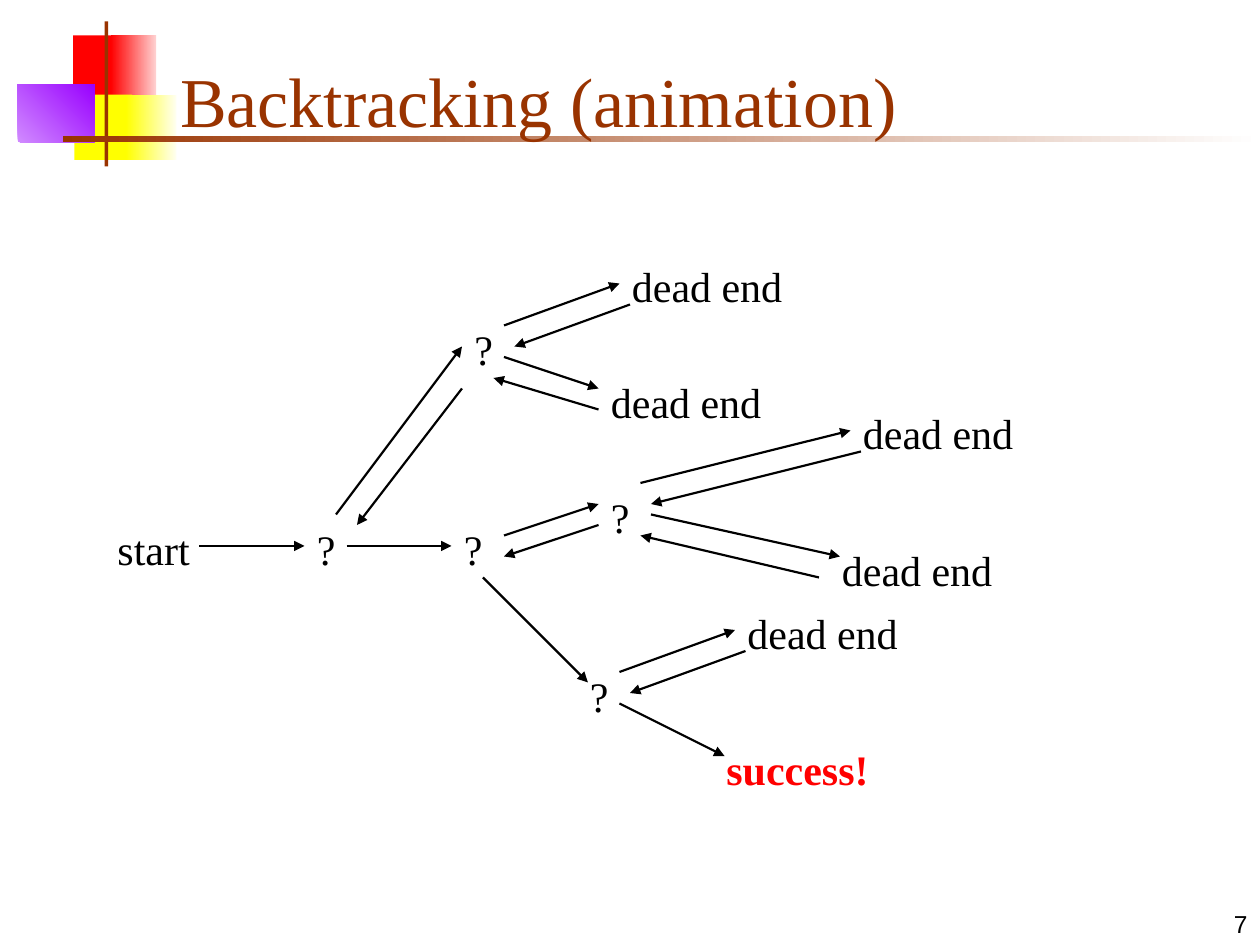
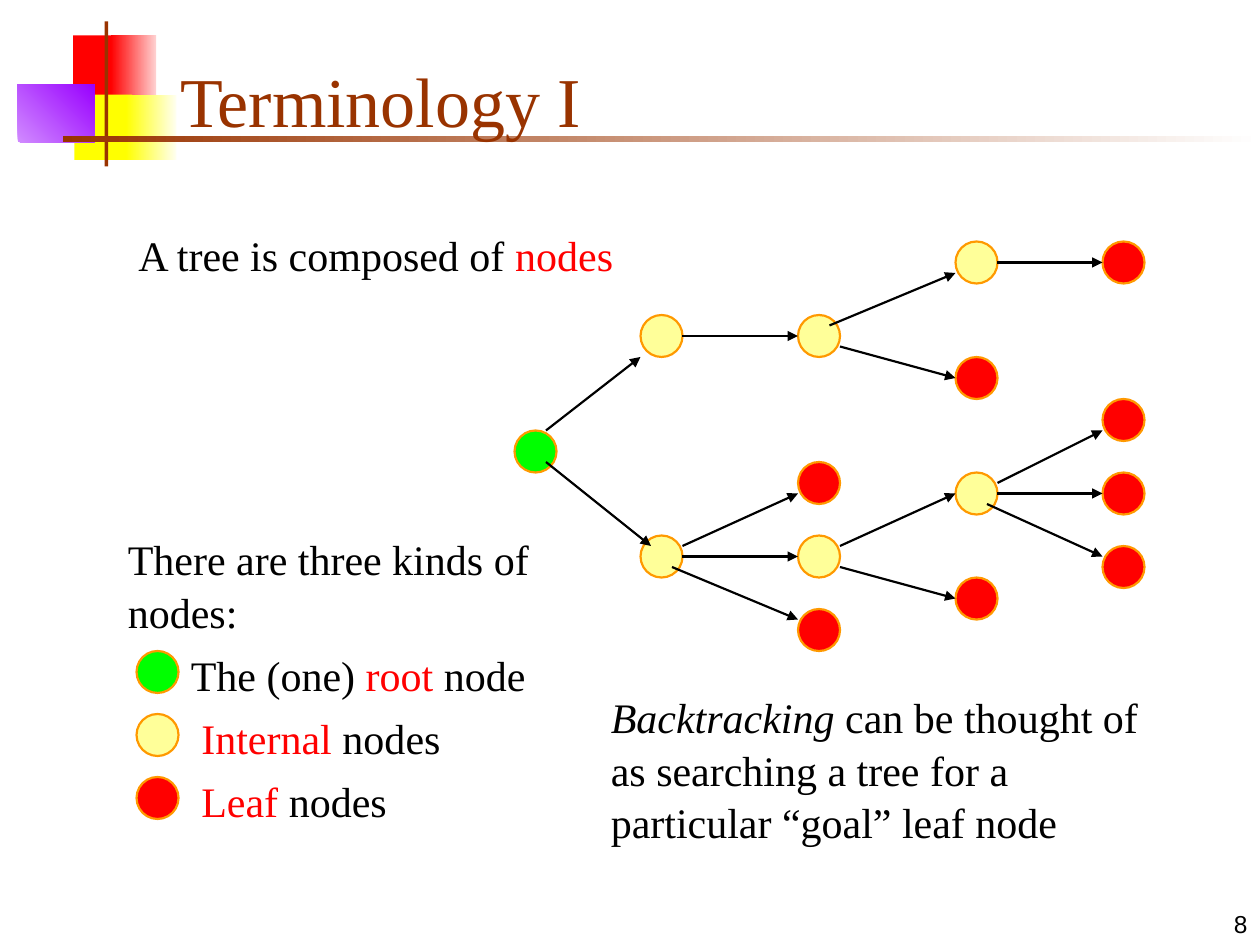
from pptx import Presentation
from pptx.dml.color import RGBColor
from pptx.enum.shapes import MSO_CONNECTOR as CONNECTOR, MSO_SHAPE as SHAPE
from pptx.enum.text import MSO_ANCHOR as ANCHOR, MSO_AUTO_SIZE as AUTO_SIZE, PP_ALIGN as ALIGN
from pptx.oxml.ns import qn
from pptx.util import Inches, Pt
from lxml.etree import SubElement

SERIF, SANS = "Times New Roman", "Arial"
BLACK, RED, BROWN, ORANGE = "000000", "FF0000", "993300", "FF9900"
NODE_COLOURS = {"root": "00FF00", "internal": "FFFF99", "leaf": RED}

# Title decoration in inches: left, top, width, height, colours, gradient angle
BANDS = [
    (0.58, 0.28, 0.35, 0.52, [RED], 0),
    (0.88, 0.28, 0.36, 0.52, [RED, "FFD1D1"], 0),
    (0.59, 0.75, 0.46, 0.52, ["FFFF00"], 0),
    (1.0, 0.75, 0.4, 0.52, ["FFFF00", "FFFFF0"], 0),
    (0.14, 0.67, 0.61, 0.46, ["D18BFF", "9900FF"], 45),
    (0.83, 0.17, 0.03, 1.15, [BROWN], 0),
    (0.5, 1.08, 9.5, 0.05, [BROWN, "FFFFFF"], 0),
]

# Both diagrams sit on a grid of twelfths of an inch.
GRID = 12
NODE_SIZE, LABEL_HEIGHT = 4, 6

# Search steps: text, left, top, width
SEARCH_LABELS = [
    ("start", 10, 49, 10),
    ("?", 29, 49, 6), ("?", 44, 30, 5), ("?", 43, 49, 6),
    ("?", 57, 46, 6), ("?", 55, 63, 6),
    ("dead end", 59, 24, 21), ("dead end", 57, 35, 21),
    ("dead end", 81, 38, 21), ("dead end", 79, 51, 21),
    ("dead end", 70, 57, 21),
]
SUCCESS = ("success!", 68, 70, 21)

# Arrows: from x, from y, to x, to y
FORWARD_STEPS = [
    (19, 52, 29, 52), (32, 49, 44, 33), (33, 52, 43, 52),
    (48, 31, 59, 27), (48, 34, 57, 37), (48, 51, 57, 48),
    (61, 46, 81, 41), (62, 49, 80, 53), (46, 55, 56, 65),
    (59, 64, 70, 60), (59, 67, 69, 72),
]
BACKWARD_STEPS = [
    (60, 29, 49, 33), (57, 39, 47, 36), (44, 37, 34, 50),
    (82, 43, 62, 48), (78, 55, 61, 51), (57, 50, 48, 53),
    (71, 62, 60, 66),
]

# Tree nodes by kind: left, top
TREE_NODES = {
    "root": [(49, 41)],
    "internal": [(61, 30), (76, 30), (91, 23), (61, 51), (76, 51), (91, 45)],
    "leaf": [(105, 23), (91, 34), (76, 44), (76, 58), (91, 55),
             (105, 38), (105, 45), (105, 52)],
}
TREE_EDGES = [
    (52, 44, 62, 52), (52, 41, 61, 34), (65, 32, 76, 32),
    (79, 31, 91, 26), (80, 33, 91, 36), (95, 25, 105, 25),
    (65, 52, 76, 47), (65, 53, 76, 53), (64, 54, 76, 59),
    (80, 52, 91, 47), (80, 54, 91, 57), (95, 46, 105, 41),
    (95, 47, 105, 47), (94, 48, 105, 53),
]

# Runs are plain text or (text, format); then left, top, width, height
KEY = {"colour": RED}
STATEMENTS = [
    (["A tree is composed of ", ("nodes", KEY)], 12, 21, 50, 6),
    (["There are three kinds of nodes:"], 11, 50, 42, 11),
    ([("Backtracking", {"italic": True}),
      " can be thought of as searching a tree for a particular “goal” leaf node"],
     57, 65, 53, 16),
]
# Legend: node kind, runs, text left, text width
LEGEND = [
    ("root", ["The (one) ", ("root", KEY), " node"], 17, 49),
    ("internal", [("Internal", KEY), " nodes"], 18, 50),
    ("leaf", [("Leaf", KEY), " nodes"], 18, 31),
]
LEGEND_LEFT, LEGEND_TOP, LEGEND_STEP = 13, 62, 6


def rgb(colour):
    """Turn a hex string into a colour."""
    return RGBColor.from_string(colour)


def grid(*steps):
    """Turn grid steps into lengths."""
    return [Inches(step / GRID) for step in steps]


def write(frame, runs, size=24, font=SERIF, colour=BLACK, bold=False,
          align=ALIGN.LEFT, anchor=ANCHOR.TOP, spacing=1.0):
    """Fill a text frame with one paragraph of formatted runs."""
    frame.word_wrap = True
    frame.auto_size = AUTO_SIZE.NONE
    frame.vertical_anchor = anchor
    paragraph = frame.paragraphs[0]
    paragraph.alignment = align
    paragraph.line_spacing = spacing
    for part in runs:
        text, extra = (part, {}) if isinstance(part, str) else part
        run = paragraph.add_run()
        run.text = text
        run.font.name, run.font.size = font, Pt(size)
        run.font.bold, run.font.italic = bold, extra.get("italic", False)
        run.font.color.rgb = rgb(extra.get("colour", colour))


def add_label(shapes, runs, left, top, width, height=LABEL_HEIGHT, **style):
    """Add a text box placed on the grid."""
    box = shapes.add_textbox(*grid(left, top, width, height))
    write(box.text_frame, runs, spacing=1.05, **style)


def add_arrow(shapes, *ends):
    """Add a thin black arrow between two grid points."""
    arrow = shapes.add_connector(CONNECTOR.STRAIGHT, *grid(*ends))
    arrow.line.color.rgb = rgb(BLACK)
    arrow.line.width = Pt(1.25)
    properties = arrow.element.spPr
    SubElement(properties.find(qn("a:ln")), qn("a:tailEnd"), type="triangle")
    SubElement(properties, qn("a:effectLst"))


def add_node(shapes, kind, left, top):
    """Add a tree node coloured by its kind."""
    node = shapes.add_shape(SHAPE.OVAL, *grid(left, top, NODE_SIZE, NODE_SIZE))
    node.shadow.inherit = False
    node.fill.solid()
    node.fill.fore_color.rgb = rgb(NODE_COLOURS[kind])
    node.line.color.rgb = rgb(ORANGE)
    node.line.width = Pt(1.25)


def add_band(shapes, left, top, width, height, colours, angle):
    """Add a borderless rectangle with a plain or gradient fill."""
    band = shapes.add_shape(SHAPE.RECTANGLE, *map(Inches, (left, top, width, height)))
    band.shadow.inherit = False
    band.line.fill.background()
    if len(colours) == 1:
        band.fill.solid()
        band.fill.fore_color.rgb = rgb(colours[0])
    else:
        band.fill.gradient()
        band.fill.gradient_angle = angle
        for stop, position, colour in zip(band.fill.gradient_stops, (0, 1), colours):
            stop.position = position
            stop.color.rgb = rgb(colour)
    return band


def decorate(layout, slide):
    """Draw the bands once and move them behind the layout's placeholders."""
    tree = layout.shapes.element
    for index, band in enumerate(BANDS):
        tree.insert(2 + index, add_band(slide.shapes, *band).element)


def add_slide(deck, title, number):
    """Add a slide with its title and number."""
    slide = deck.slides.add_slide(deck.slide_layouts[5])
    heading = slide.shapes.title
    heading.left, heading.top = Inches(1.33), Inches(0.25)
    heading.width, heading.height = Inches(8.52), Inches(0.92)
    write(heading.text_frame, [title], size=40, colour=BROWN, anchor=ANCHOR.BOTTOM)
    footer = slide.shapes.add_textbox(*map(Inches, (7.92, 7, 2.08, 0.5)))
    write(footer.text_frame, [str(number)], size=14, font=SANS,
          align=ALIGN.RIGHT, anchor=ANCHOR.BOTTOM)
    return slide


def build_search(slide):
    """Draw the search with its dead ends and its success."""
    for text, *place in SEARCH_LABELS:
        add_label(slide.shapes, [text], *place)
    text, *place = SUCCESS
    add_label(slide.shapes, [text], *place, colour=RED, bold=True)
    for step in FORWARD_STEPS + BACKWARD_STEPS:
        add_arrow(slide.shapes, *step)


def build_terminology(slide):
    """Draw the tree, the statements and the legend."""
    tree = slide.shapes.add_group_shape().shapes
    for kind, places in TREE_NODES.items():
        for place in places:
            add_node(tree, kind, *place)
    for edge in TREE_EDGES:
        add_arrow(tree, *edge)
    for runs, *place in STATEMENTS:
        add_label(slide.shapes, runs, *place)
    for row, (kind, runs, left, width) in enumerate(LEGEND):
        entry = slide.shapes.add_group_shape().shapes
        top = LEGEND_TOP + row * LEGEND_STEP
        add_node(entry, kind, LEGEND_LEFT, top)
        add_label(entry, runs, left, top - 1, width)


deck = Presentation()
deck.slide_width, deck.slide_height = Inches(10), Inches(7.5)
search = add_slide(deck, "Backtracking (animation)", 7)
decorate(search.slide_layout, search)
build_search(search)
build_terminology(add_slide(deck, "Terminology I", 8))
deck.save("out.pptx")
